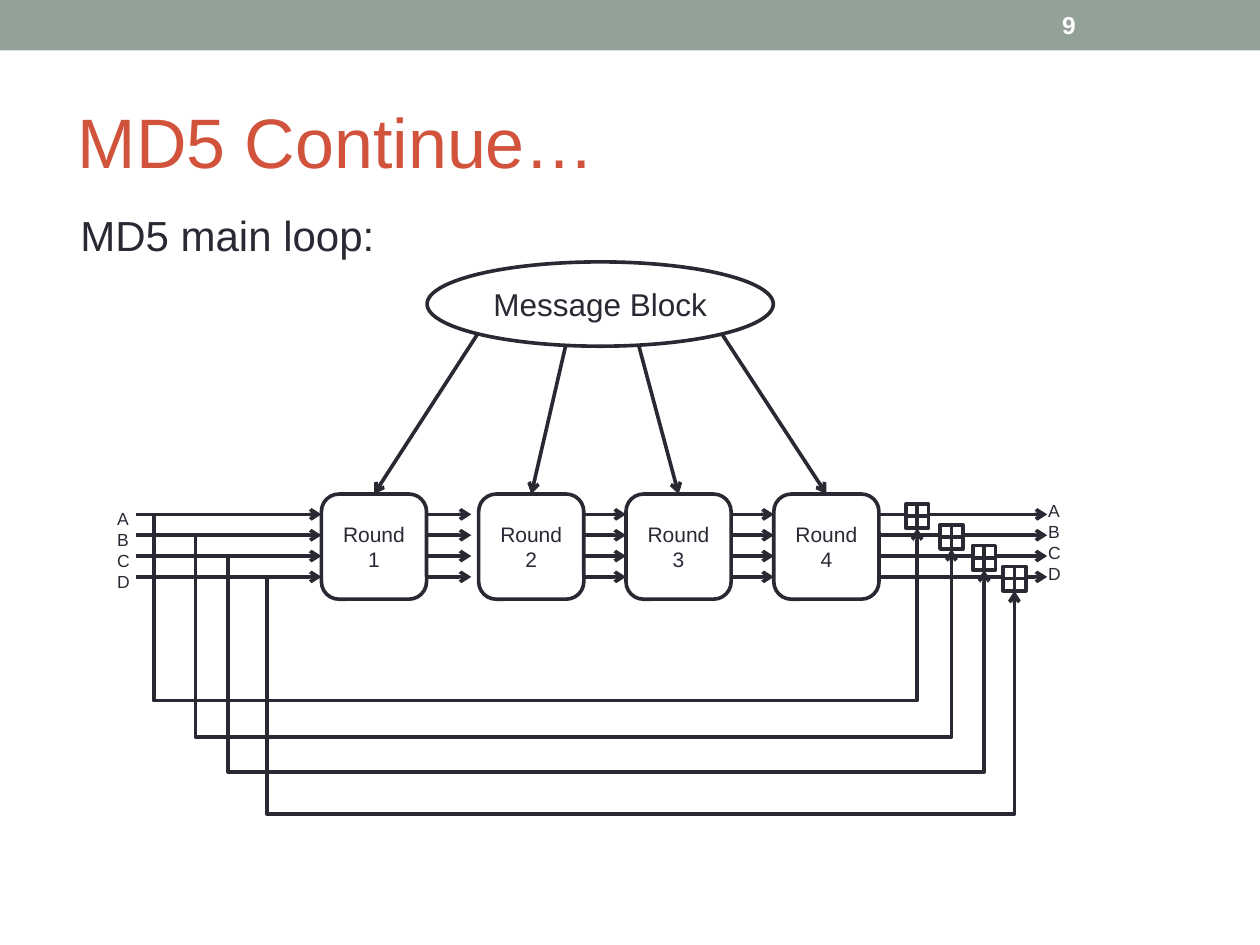
from dataclasses import dataclass

from lxml import etree
from pptx import Presentation
from pptx.dml.color import RGBColor
from pptx.enum.shapes import MSO_CONNECTOR as CONN, MSO_SHAPE as SHAPE
from pptx.enum.text import MSO_ANCHOR as ANCHOR, PP_ALIGN as ALIGN
from pptx.oxml.ns import qn
from pptx.util import Cm, Pt

INK, WHITE, SAGE, RED = "292934", "FFFFFF", "93A299", "D2533C"
LINE_W = 2.07
LANE_Y, LANE_GAP = 10.37, 0.42
ROUND_Y, ROUND_SIZE = 9.96, 2.12
ADDER_Y, ADDER_W, ADDER_H = 10.16, 0.46, 0.49


@dataclass
class Round:
    label: str
    left: float
    source: tuple[float, float]  # where its arrow leaves the message block


@dataclass
class Feedback:
    left: float
    bottom: float
    adder_left: float


ROUNDS = [
    Round("Round 1", 6.48, (9.63, 6.73)),
    Round("Round 2", 9.65, (11.4, 6.98)),
    Round("Round 3", 12.62, (12.88, 6.98)),
    Round("Round 4", 15.6, (14.55, 6.73)),
]
FEEDBACKS = [
    Feedback(3.1, 14.12, 18.26),
    Feedback(3.94, 14.86, 18.95),
    Feedback(4.6, 15.56, 19.61),
    Feedback(5.38, 16.41, 20.22),
]
LANE_SPANS = [(2.74, 6.48), (8.61, 9.5), (11.73, 12.62), (14.68, 15.6), (17.7, 21.11)]


def rgb(color: str) -> RGBColor:
    return RGBColor.from_string(color)


def set_text(sp, text: str, size: float, color: str = INK, align=ALIGN.LEFT,
             anchor=ANCHOR.TOP, bold: bool = False) -> None:
    tf = sp.text_frame
    tf.word_wrap = True
    tf.vertical_anchor = anchor
    tf.text = text
    for p in tf.paragraphs:
        p.alignment = align
        for r in p.runs:
            r.font.name, r.font.size, r.font.bold = "Arial", Pt(size), bold
            r.font.color.rgb = rgb(color)


def add_text(s, x: float, y: float, w: float, h: float, text: str, size: float, **style) -> None:
    set_text(s.shapes.add_textbox(Cm(x), Cm(y), Cm(w), Cm(h)), text, size, **style)


def add_box(s, kind, x: float, y: float, w: float, h: float,
            fill: str = WHITE, line: str | None = INK):
    sp = s.shapes.add_shape(kind, Cm(x), Cm(y), Cm(w), Cm(h))
    sp.shadow.inherit = False
    sp.fill.solid()
    sp.fill.fore_color.rgb = rgb(fill)
    if line:
        sp.line.color.rgb = rgb(line)
        sp.line.width = Pt(LINE_W)
    else:
        sp.line.fill.background()
    return sp


def add_line(s, x1: float, y1: float, x2: float, y2: float,
             kind=CONN.STRAIGHT, arrow: bool = True):
    cxn = s.shapes.add_connector(kind, Cm(x1), Cm(y1), Cm(x2), Cm(y2))
    cxn.line.color.rgb = rgb(INK)
    cxn.line.width = Pt(LINE_W)
    if arrow:
        etree.SubElement(cxn.line._get_or_add_ln(), qn("a:tailEnd"), type="arrow")
    etree.SubElement(cxn._element.spPr, qn("a:effectLst"))
    return cxn


def add_adder(s, x: float, y: float) -> None:
    box = add_box(s, SHAPE.RECTANGLE, x, y, ADDER_W, ADDER_H)
    for start, end in ((0, 2), (1, 3)):
        cxn = add_line(s, x, y, x + ADDER_W, y + ADDER_H, arrow=False)
        cxn.begin_connect(box, start)
        cxn.end_connect(box, end)


def add_feedback(s, fb: Feedback, y1: float, y2: float) -> None:
    """Runs down from the lane, across, and up into the adder."""
    cxn = add_line(s, fb.left, y1, fb.adder_left + ADDER_W / 2, y2, CONN.ELBOW)
    xfrm = cxn._element.spPr.find(qn("a:xfrm"))
    for name, value in (("rot", "10800000"), ("flipH", "1"), ("flipV", "1")):
        xfrm.set(name, value)
    geom = cxn._element.spPr.find(qn("a:prstGeom"))
    geom.set("prst", "bentConnector4")
    guides = geom.find(qn("a:avLst"))
    depth = round((fb.bottom - y1) / (y2 - y1) * 100000)
    for name, value in (("adj1", 0), ("adj2", depth)):
        etree.SubElement(guides, qn("a:gd"), name=name, fmla=f"val {value}")


def main() -> None:
    prs = Presentation()
    prs.slide_width, prs.slide_height = Cm(25.4), Cm(19.05)
    s = prs.slides.add_slide(prs.slide_layouts[6])

    # Header bar, title and lead line
    add_box(s, SHAPE.RECTANGLE, 0, 0, 25.4, 1.02, SAGE, None)
    add_text(s, 1.32, 1.47, 22.86, 2.74, "MD5 Continue…", 40, color=RED, anchor=ANCHOR.MIDDLE)
    add_text(s, 1.37, 4.09, 22.86, 13.54, "MD5 main loop:", 24)

    # Four lanes between the rounds
    lanes = [LANE_Y + i * LANE_GAP for i in range(4)]
    for x1, x2 in LANE_SPANS:
        for y in lanes:
            add_line(s, x1, y, x2, y)

    # Message block feeding each round
    block = add_box(s, SHAPE.OVAL, 8.61, 5.28, 6.98, 1.7)
    set_text(block, "Message Block", 18, align=ALIGN.CENTER, anchor=ANCHOR.MIDDLE)
    for rnd in ROUNDS:
        box = add_box(s, SHAPE.ROUNDED_RECTANGLE, rnd.left, ROUND_Y, ROUND_SIZE, ROUND_SIZE)
        set_text(box, rnd.label, 12, align=ALIGN.CENTER, anchor=ANCHOR.MIDDLE)
        cxn = add_line(s, *rnd.source, rnd.left + ROUND_SIZE / 2, ROUND_Y)
        cxn.end_connect(box, 0)

    # Register names on both sides
    for x, y in ((2.11, 10.11), (20.88, 9.96)):
        add_text(s, x, y, 0.56, 1.96, "A\nB\nC\nD", 10)

    # Adders and the feedback lines into them
    for i, (fb, lane) in enumerate(zip(FEEDBACKS, lanes)):
        top = ADDER_Y + i * LANE_GAP
        add_adder(s, fb.adder_left, top)
        add_feedback(s, fb, lane, top + ADDER_H)

    # Slide number
    add_text(s, 21.16, 0.05, 2.97, 0.91, "9", 14, color=WHITE, anchor=ANCHOR.MIDDLE, bold=True)

    prs.save("out.pptx")


if __name__ == "__main__":
    main()
